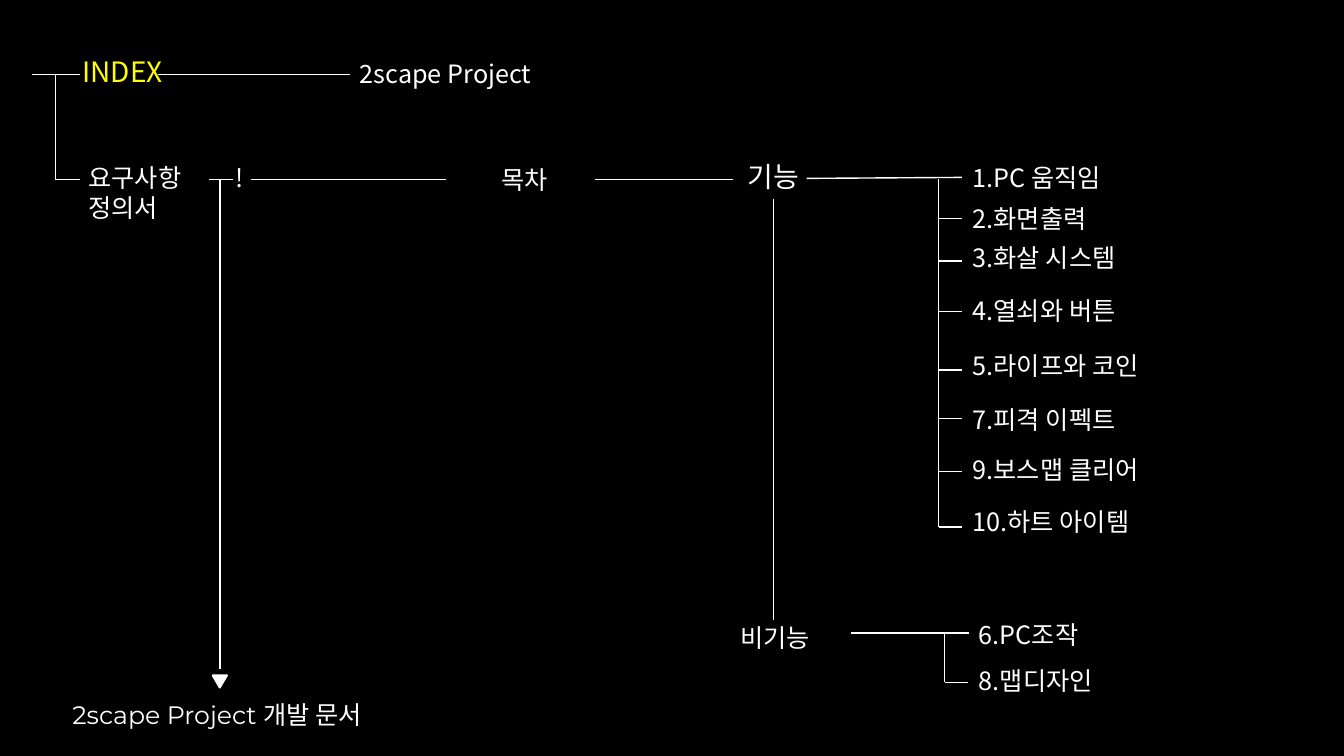
from lxml.etree import SubElement
from pptx import Presentation
from pptx.dml.color import RGBColor
from pptx.enum.shapes import MSO_CONNECTOR, MSO_SHAPE
from pptx.enum.text import MSO_AUTO_SIZE, PP_ALIGN
from pptx.oxml.ns import qn
from pptx.util import Inches, Pt

THEME = {
    "background": RGBColor(0, 0, 0),
    "line": RGBColor(255, 255, 255),
    "text": RGBColor(255, 255, 255),
    "accent": RGBColor(255, 255, 0),
    "font": "Noto Sans CJK KR",
    "document_font": "Montserrat",
    "heading_size": Pt(20),
    "body_size": Pt(18),
    "line_width": Pt(1),
    "arrow_width": Pt(1.25),
    "outline_width": Pt(1.5),
}
BODY_HEIGHT = 0.4

# text, (left, top, width, height), format values that differ from the body text
LABELS = [
    ("INDEX", (0.72, 0.49, 1.13, 0.44), {"size": "heading_size", "color": "accent"}),
    ("2scape Project", (3.47, 0.53, 4.41, BODY_HEIGHT), {}),
    ("요구사항 정의서", (0.78, 1.56, 1.36, 0.71), {}),
    ("!", (2.24, 1.56, 0.31, BODY_HEIGHT), {}),
    ("목차", (4.35, 1.58, 1.71, BODY_HEIGHT), {"alignment": PP_ALIGN.CENTER}),
    ("기능", (7.1, 1.53, 1.14, 0.44),
     {"size": "heading_size", "alignment": PP_ALIGN.CENTER}),
    ("비기능", (6.94, 6.12, 1.5, BODY_HEIGHT), {"alignment": PP_ALIGN.CENTER}),
    ("2scape Project 개발 문서", (0.62, 6.89, 3.44, BODY_HEIGHT),
     {"name": "document_font"}),
]

# text, top of the text, height of its branch line (None: joined by the main line)
BRANCHES = [
    {"spine": 9.31, "start": 1.78, "text_left": 9.55, "items": [
        ("1.PC 움직임", 1.56, None),
        ("2.화면출력", 1.97, 2.17),
        ("3.화살 시스템", 2.36, 2.59),
        ("4.열쇠와 버튼", 2.88, 3.09),
        ("5.라이프와 코인", 3.43, 3.67),
        ("7.피격 이펙트", 3.96, 4.15),
        ("9.보스맵 클리어", 4.46, 4.68),
        ("10.하트 아이템", 4.97, 5.23),
    ]},
    {"spine": 9.37, "start": 6.29, "text_left": 9.61, "items": [
        ("6.PC조작", 6.09, None),
        ("8.맵디자인", 6.55, 6.77),
    ]},
]
BRANCH_LENGTH = 0.23
BRANCH_TEXT_WIDTH = 2.85

# x and y of the start, x and y of the end
LINES = [
    (0.32, 0.74, 0.79, 0.74),
    (1.57, 0.74, 3.47, 0.74),
    (0.55, 0.74, 0.55, 1.78),
    (0.55, 1.78, 0.79, 1.78),
    (2.07, 1.78, 2.31, 1.78),
    (2.49, 1.78, 4.42, 1.78),
    (5.9, 1.78, 7.27, 1.78),
    (8, 1.77, 9.54, 1.76),
    (7.67, 1.97, 7.67, 6.15),
    (8.44, 6.28, 9.61, 6.28),
]
DOCUMENT_ARROW = (2.18, 1.79, 2.18, 6.64)
DOCUMENT_ARROWHEAD = (2.11, 6.7, 0.14, 0.12)


def add_label(slide, text, box, values):
    text_box = slide.shapes.add_textbox(*map(Inches, box))
    frame = text_box.text_frame
    frame.word_wrap = True
    frame.auto_size = MSO_AUTO_SIZE.SHAPE_TO_FIT_TEXT
    paragraph = frame.paragraphs[0]
    paragraph.alignment = values.get("alignment", PP_ALIGN.LEFT)
    run = paragraph.add_run()
    run.text = text
    font_format = {
        "size": THEME[values.get("size", "body_size")],
        "name": THEME[values.get("name", "font")],
    }
    for attribute, value in font_format.items():
        setattr(run.font, attribute, value)
    run.font.color.rgb = THEME[values.get("color", "text")]
    east_asian = SubElement(run.font._element, qn("a:ea"))
    east_asian.set("typeface", THEME["font"])


def add_line(slide, points, width="line_width"):
    connector = slide.shapes.add_connector(
        MSO_CONNECTOR.STRAIGHT, *map(Inches, points))
    connector.line.color.rgb = THEME["line"]
    connector.line.width = THEME[width]
    SubElement(connector._element.spPr, qn("a:effectLst"))


def add_branch(slide, branch):
    """Draw a vertical spine with a short line and a text for each item."""
    spine = branch["spine"]
    for text, top, line_y in branch["items"]:
        box = (branch["text_left"], top, BRANCH_TEXT_WIDTH, BODY_HEIGHT)
        add_label(slide, text, box, {})
        if line_y is not None:
            add_line(slide, (spine, line_y, spine + BRANCH_LENGTH, line_y))
    last_y = branch["items"][-1][2]
    add_line(slide, (spine, branch["start"], spine, last_y))


def add_document_arrow(slide):
    add_line(slide, DOCUMENT_ARROW, "arrow_width")
    arrowhead = slide.shapes.add_shape(
        MSO_SHAPE.ISOSCELES_TRIANGLE, *map(Inches, DOCUMENT_ARROWHEAD))
    arrowhead.rotation = 180
    arrowhead.shadow.inherit = False
    arrowhead.fill.solid()
    arrowhead.fill.fore_color.rgb = THEME["line"]
    arrowhead.line.color.rgb = THEME["line"]
    arrowhead.line.width = THEME["outline_width"]


def main():
    presentation = Presentation()
    presentation.slide_width = Inches(13.33)
    presentation.slide_height = Inches(7.5)
    slide = presentation.slides.add_slide(presentation.slide_layouts[6])
    slide.background.fill.solid()
    slide.background.fill.fore_color.rgb = THEME["background"]
    for points in LINES:
        add_line(slide, points)
    add_document_arrow(slide)
    for label in LABELS:
        add_label(slide, *label)
    for branch in BRANCHES:
        add_branch(slide, branch)
    presentation.save("out.pptx")


if __name__ == "__main__":
    main()
